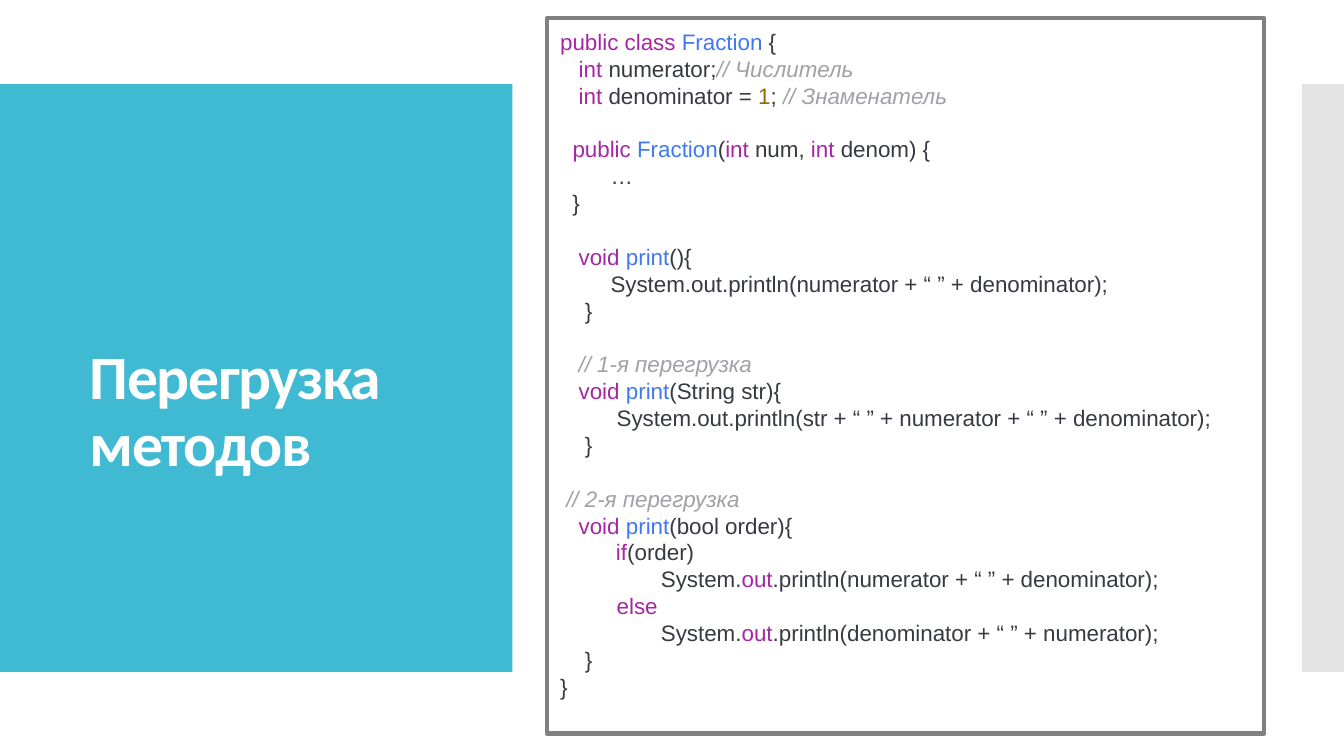
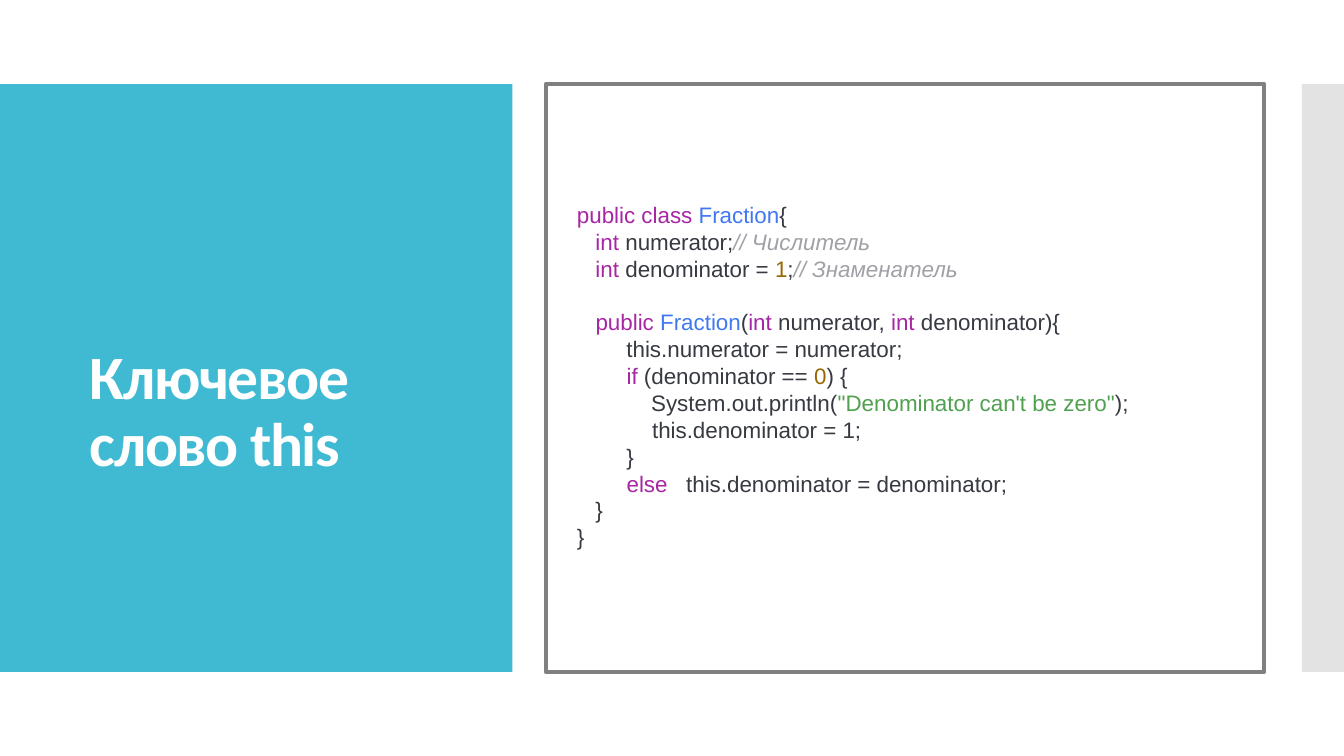
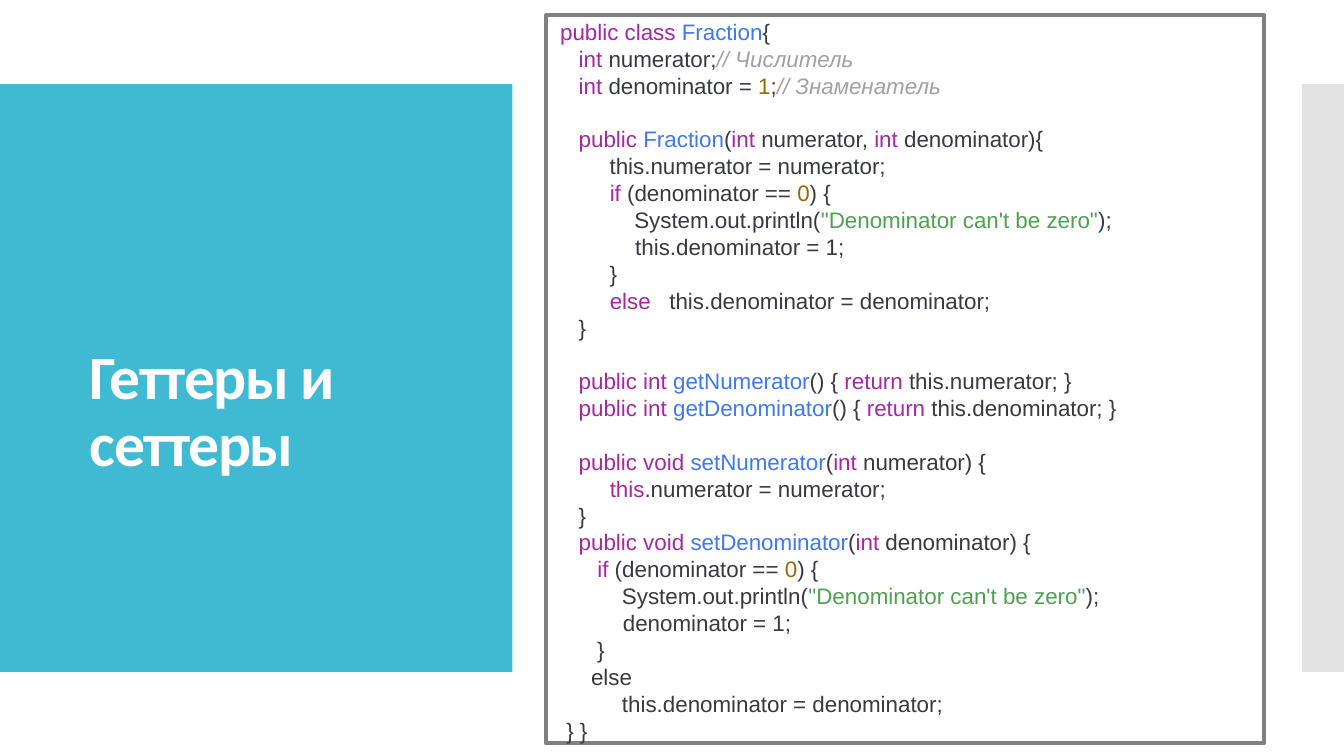
"""Build three slides on methods, the word this, and accessors in a Fraction class."""
from lxml.etree import SubElement
from pptx import Presentation
from pptx.dml.color import RGBColor
from pptx.enum.shapes import MSO_SHAPE
from pptx.enum.text import MSO_ANCHOR
from pptx.oxml.ns import qn
from pptx.util import Pt

TEAL = RGBColor(0x40, 0xBA, 0xD2)
PALE_GREY = RGBColor(0xE3, 0xE3, 0xE3)
FRAME_GREY = RGBColor(0x80, 0x80, 0x80)
WHITE = RGBColor(0xFF, 0xFF, 0xFF)
CODE_TEXT = RGBColor(0x38, 0x3A, 0x42)
COMMENT = "C"
SYNTAX = {
    "K": RGBColor(0xA6, 0x26, 0xA4),
    "N": RGBColor(0x40, 0x78, 0xF2),
    "D": RGBColor(0x98, 0x68, 0x01),
    "S": RGBColor(0x50, 0xA1, 0x4F),
    COMMENT: RGBColor(0xA0, 0xA1, 0xA7),
}

WIDTH, HEIGHT = 960, 540
BAND_TOP, BAND_HEIGHT = 60, 420
TEAL_WIDTH, GREY_WIDTH = 366, 30
TITLE_BOX = (57, 90, 256, 256)
CODE_SIZE, LINE_PITCH, TAB = 16, 19.2, 36

ZERO_TEST = "|Kif| (denominator == |D0|) {"
ZERO_PRINT = "System.out.println(|S\"Denominator can't be zero\"|);"

OVERLOADS = [
    "|Kpublic class ||NFraction| {",
    "|K   int| numerator;|C// Числитель|",
    "|K   int| denominator = |D1|; |C// Знаменатель|",
    "",
    "  |Kpublic ||NFraction|(|Kint| num, |Kint |denom) {",
    "\t…",
    "  }",
    "",
    "|K   void ||Nprint|(){",
    "\tSystem.out.println(numerator + “ ” + denominator);",
    "    }",
    "",
    "|C   // 1-я перегрузка|",
    "|K   void ||Nprint|(String str){",
    "\t System.out.println(str + “ ” + numerator + “ ” + denominator);",
    "    }",
    "",
    "|C // 2-я перегрузка|",
    "|K   void ||Nprint|(bool order){",
    "         |Kif|(order)",
    "\t \tSystem.|Kout|.println(numerator + “ ” + denominator);",
    "\t |Kelse|",
    "\t\tSystem.|Kout|.println(denominator + “ ” + numerator);",
    "    }",
    "}",
]
CONSTRUCTOR = [
    "|Kpublic class ||NFraction|{",
    "|K   int| numerator;|C// Числитель|",
    "|K   int| denominator = |D1|;|C// Знаменатель|",
    "",
    "   |Kpublic ||NFraction|(|Kint| numerator, |Kint| denominator){",
    "        this.numerator = numerator;",
    "        " + ZERO_TEST,
    "            " + ZERO_PRINT,
    "\t    this.denominator = 1;",
    "        }",
    "        |Kelse   |this.denominator = denominator;",
    "   }",
]
ACCESSORS = [
    "",
    "   |Kpublic int ||NgetNumerator|() { |Kreturn |this.numerator; }",
    "   |Kpublic int ||NgetDenominator|() { |Kreturn |this.denominator; }",
    "",
    "   |Kpublic void ||NsetNumerator|(|Kint| numerator) {",
    "        |Kthis|.numerator = numerator;",
    "   }",
    "   |Kpublic void ||NsetDenominator|(|Kint| denominator) {",
    "      " + ZERO_TEST,
    "          " + ZERO_PRINT,
    "\t  denominator = 1;",
    "      }",
    "     else",
    "          this.denominator = denominator;",
    " } }",
]
SLIDES = [
    {"title": "Перегрузка методов", "frame": (391, 13, 512, 511),
     "code_box": (393, 16.5, 495, 492), "code": OVERLOADS},
    {"title": "Ключевое слово this", "frame": (390, 60, 513, 420),
     "code_box": (405, 140, 480, 259), "code": CONSTRUCTOR + ["}"]},
    {"title": "Геттеры и сеттеры", "frame": (390, 11, 513, 520),
     "code_box": (393, 9.4, 480, 530), "code": CONSTRUCTOR + ACCESSORS},
]


def add_rect(s, box, fill=None, line=None):
    sp = s.shapes.add_shape(MSO_SHAPE.RECTANGLE, *map(Pt, box))
    sp.shadow.inherit = False
    if fill is None:
        sp.fill.background()
    else:
        sp.fill.solid()
        sp.fill.fore_color.rgb = fill
    if line is None:
        sp.line.fill.background()
    else:
        sp.line.color.rgb = line
        sp.line.width = Pt(3)


def add_text_frame(s, box):
    tf = s.shapes.add_textbox(*map(Pt, box)).text_frame
    tf.word_wrap = True
    return tf


def add_title(s, title):
    tf = add_text_frame(s, TITLE_BOX)
    tf.vertical_anchor = MSO_ANCHOR.BOTTOM
    tf.text = title
    p = tf.paragraphs[0]
    p.line_spacing = 0.9
    p.space_after = Pt(6)
    r = p.runs[0]
    r.font.name, r.font.size, r.font.bold = "Calibri", Pt(44), True
    r.font.color.rgb = WHITE
    r.font._element.set("spc", "-100")


def add_run(p, text, color, italic=False):
    r = p.add_run()
    r.text = text
    r.font.name, r.font.size = "Arial", Pt(CODE_SIZE)
    r.font.color.rgb = color
    if italic:
        r.font.italic = True


def add_code(s, box, lines):
    tf = add_text_frame(s, box)
    p, gap = tf.paragraphs[0], 0
    for i, line in enumerate(lines):
        if not line:
            gap = LINE_PITCH
            continue
        if i:
            p = tf.add_paragraph()
        if "\t" in line:
            tabs = SubElement(p._p.get_or_add_pPr(), qn("a:tabLst"))
            for stop in (TAB, 2 * TAB):
                SubElement(tabs, qn("a:tab"), pos=str(Pt(stop)), algn="l")
        p.line_spacing = Pt(LINE_PITCH)
        if gap:
            p.space_before = Pt(gap)
            gap = 0
        for j, part in enumerate(line.split("|")):
            if j % 2:
                add_run(p, part[1:], SYNTAX[part[0]], part[0] == COMMENT)
            elif part:
                add_run(p, part, CODE_TEXT)


def main():
    prs = Presentation()
    prs.slide_width, prs.slide_height = Pt(WIDTH), Pt(HEIGHT)
    for content in SLIDES:
        s = prs.slides.add_slide(prs.slide_layouts[6])
        add_rect(s, (0, BAND_TOP, TEAL_WIDTH, BAND_HEIGHT), fill=TEAL)
        add_rect(s, (WIDTH - GREY_WIDTH, BAND_TOP, GREY_WIDTH, BAND_HEIGHT), fill=PALE_GREY)
        add_title(s, content["title"])
        add_rect(s, content["frame"], line=FRAME_GREY)
        add_code(s, content["code_box"], content["code"])
    prs.save("out.pptx")


if __name__ == "__main__":
    main()
